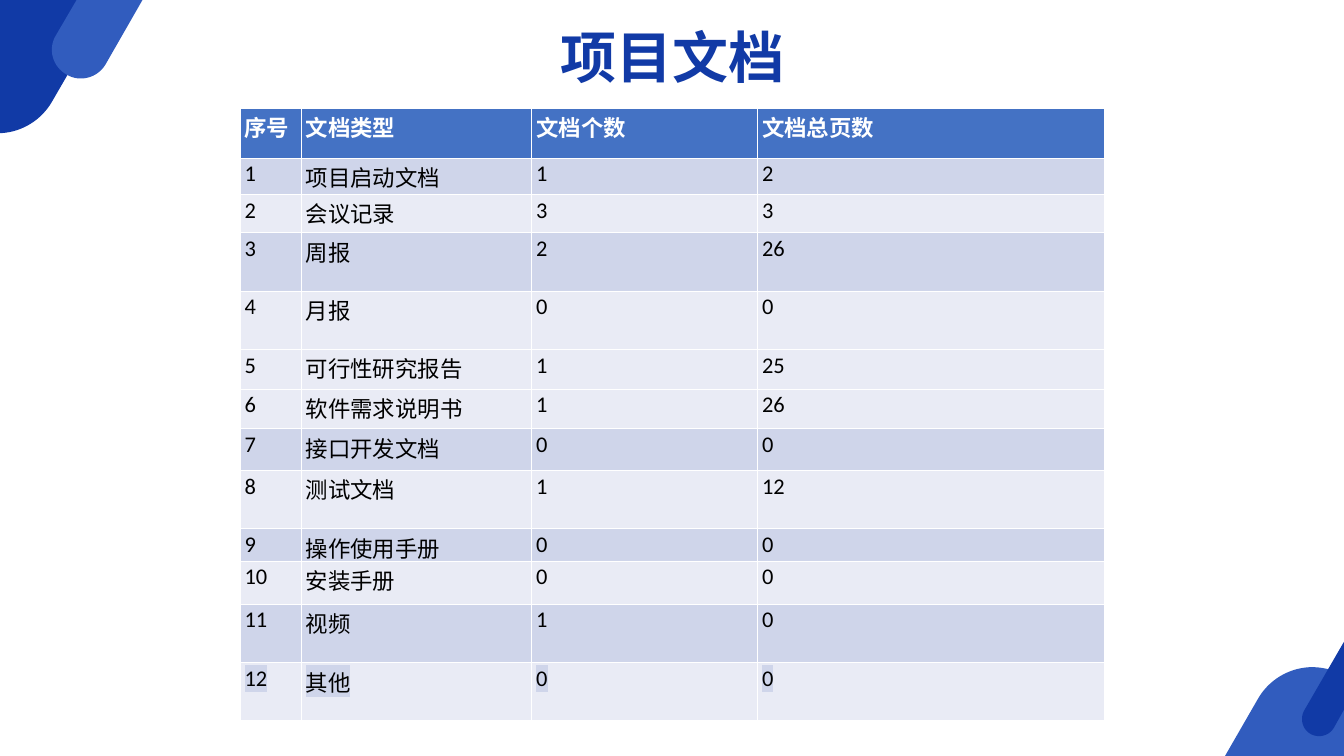
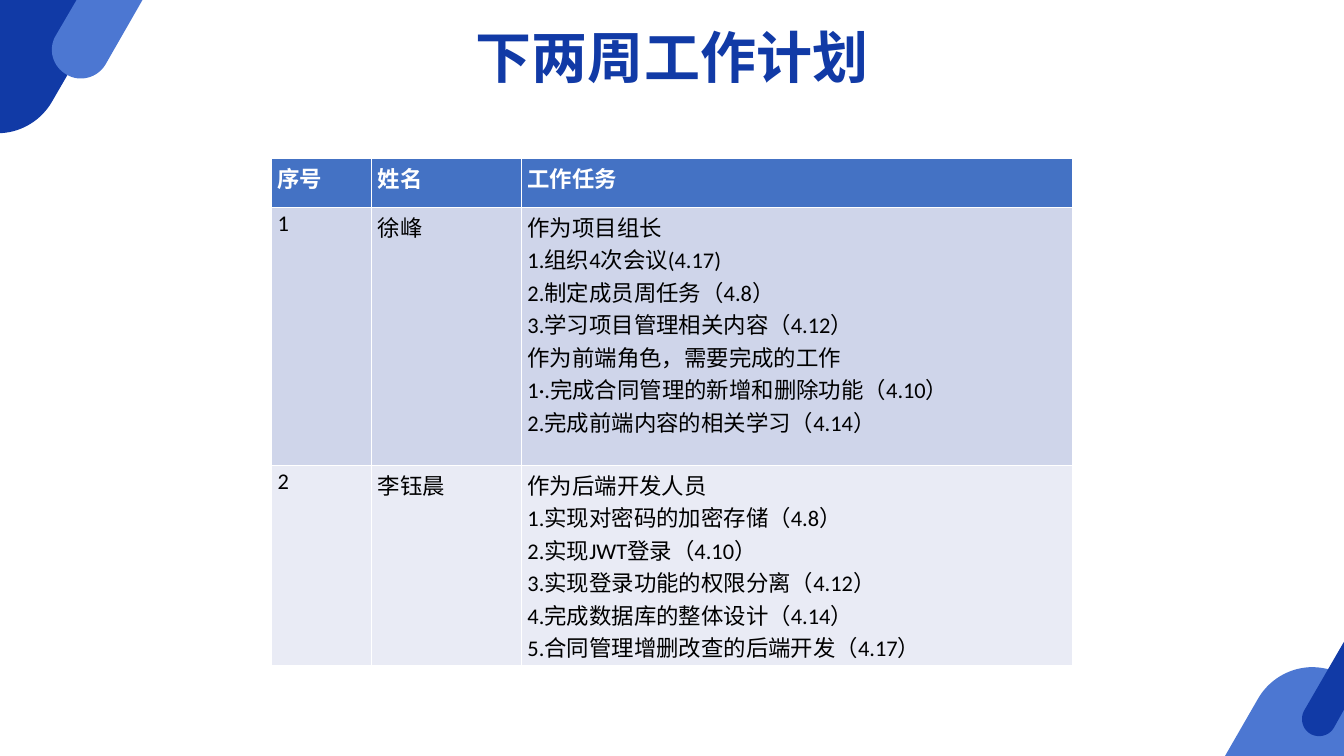
from lxml.etree import SubElement
from pptx import Presentation
from pptx.dml.color import RGBColor
from pptx.enum.text import PP_ALIGN
from pptx.oxml.ns import qn
from pptx.util import Inches, Pt

COLORS = {
    "navy": "113AA6", "royal": "315CBE", "sky": "4C77D2", "header": "4472C4",
    "dark_band": "CFD5EA", "light_band": "E9EBF5", "white": "FFFFFF", "black": "000000",
}
CJK_FONT = "Noto Sans CJK SC"
TABLE_FONT = "Calibri"
CURVE_STEPS = 16

TOP_LEFT_BACK = [(0, 0), (1.65, 0), (0.77, 1.52),
                 (0.61, 1.79, 0.33, 1.96, 0.03, 1.98), (0, 1.98)]
TOP_LEFT_FRONT = [(1.14, 0), (2.12, 0), (1.57, 0.96),
                  (1.45, 1.16, 1.19, 1.23, 0.99, 1.11),
                  (0.78, 0.99, 0.71, 0.73, 0.83, 0.53)]
BOTTOM_RIGHT_BACK = [(19.47, 9.93), (19.65, 9.92, 19.83, 9.96, 20, 10.05),
                     (20, 11.25), (18.23, 11.25), (18.72, 10.4),
                     (18.88, 10.12, 19.17, 9.95, 19.47, 9.93)]
BOTTOM_RIGHT_FRONT = [(20, 9.55), (20, 10.56), (19.85, 10.83),
                      (19.78, 10.95, 19.62, 10.99, 19.5, 10.92),
                      (19.38, 10.85, 19.34, 10.69, 19.41, 10.57)]

DOCUMENTS = [
    ("项目启动文档", 1, 2), ("会议记录", 3, 3), ("周报", 2, 26), ("月报", 0, 0),
    ("可行性研究报告", 1, 25), ("软件需求说明书", 1, 26), ("接口开发文档", 0, 0),
    ("测试文档", 1, 12), ("操作使用手册", 0, 0), ("安装手册", 0, 0),
    ("视频", 1, 0), ("其他", 0, 0),
]
DOCUMENT_HEIGHTS = [0.74, 0.54, 0.57, 0.87, 0.87, 0.59, 0.59,
                    0.62, 0.87, 0.47, 0.64, 0.87, 0.87]

LEADER_TASKS = """作为项目组长
1.组织4次会议(4.17)
2.制定成员周任务（4.8）
3.学习项目管理相关内容（4.12）
作为前端角色，需要完成的工作
1·.完成合同管理的新增和删除功能（4.10）
2.完成前端内容的相关学习（4.14）"""
BACKEND_TASKS = """作为后端开发人员
1.实现对密码的加密存储（4.8）
2.实现JWT登录（4.10）
3.实现登录功能的权限分离（4.12）
4.完成数据库的整体设计（4.14）
5.合同管理增删改查的后端开发（4.17）"""


def flatten(outline):
    points = [outline[0]]
    for step in outline[1:]:
        if len(step) == 2:
            points.append(step)
            continue
        (x0, y0), (x1, y1, x2, y2, x3, y3) = points[-1], step
        for i in range(1, CURVE_STEPS + 1):
            t = i / CURVE_STEPS
            a, b, c, d = (1 - t) ** 3, 3 * t * (1 - t) ** 2, 3 * t * t * (1 - t), t ** 3
            points.append((a * x0 + b * x1 + c * x2 + d * x3,
                           a * y0 + b * y1 + c * y2 + d * y3))
    return [(Inches(x), Inches(y)) for x, y in points]


class Deck:
    def __init__(self):
        self.presentation = Presentation()
        self.presentation.slide_width = Inches(20)
        self.presentation.slide_height = Inches(11.25)
        self.slide = None

    def color(self, name):
        return RGBColor.from_string(COLORS[name])

    def add_slide(self, title, title_width, accent):
        self.slide = self.presentation.slides.add_slide(self.presentation.slide_layouts[6])
        self.ornament(TOP_LEFT_BACK, "navy")
        self.ornament(TOP_LEFT_FRONT, accent)
        self.ornament(BOTTOM_RIGHT_BACK, accent)
        self.ornament(BOTTOM_RIGHT_FRONT, "navy")
        self.title(title, title_width)

    def ornament(self, outline, color):
        start, *rest = flatten(outline)
        builder = self.slide.shapes.build_freeform(*start)
        builder.add_line_segments(rest, close=True)
        shape = builder.convert_to_shape()
        shape.shadow.inherit = False
        shape.fill.solid()
        shape.fill.fore_color.rgb = self.color(color)
        shape.line.fill.background()

    def style(self, paragraph, size, latin, color, bold):
        font = paragraph.font
        font.size, font.bold, font.name = Pt(size), bold, latin
        font.color.rgb = self.color(color)
        SubElement(paragraph._p.pPr.find(qn("a:defRPr")), qn("a:ea"), typeface=CJK_FONT)

    def title(self, text, width):
        box = self.slide.shapes.add_textbox(
            Inches(10 - width / 2), Inches(0.64), Inches(width), Inches(0.71))
        frame = box.text_frame
        frame.word_wrap = True
        frame.margin_left = frame.margin_right = frame.margin_top = frame.margin_bottom = 0
        frame.text = text
        heading = frame.paragraphs[0]
        heading.alignment = PP_ALIGN.CENTER
        heading.line_spacing = Pt(50.4)
        self.style(heading, 60, CJK_FONT, "navy", True)

    def table(self, rows, left, top, widths, heights, margin, light_rows):
        table = self.slide.shapes.add_table(
            len(rows), len(widths), Inches(left), Inches(top),
            Inches(sum(widths)), Inches(sum(heights))).table
        for column, width in zip(table.columns, widths):
            column.width = Inches(width)
        for r, (row, height) in enumerate(zip(rows, heights)):
            table.rows[r].height = Inches(height)
            band = "header" if r == 0 else "light_band" if r in light_rows else "dark_band"
            for c, value in enumerate(row):
                self.cell(table.cell(r, c), str(value), band, margin, r == len(rows) - 1)
        return table

    def cell(self, cell, text, band, margin, is_last):
        cell.margin_left = cell.margin_right = Inches(margin)
        cell.margin_top = cell.margin_bottom = Inches(0.04)
        for side in ("lnL", "lnR", "lnT", "lnB"):
            width = 1.5 if is_last and side == "lnB" else 0.5
            edge = SubElement(cell._tc.get_or_add_tcPr(), qn(f"a:{side}"), w=str(Pt(width)))
            SubElement(SubElement(edge, qn("a:solidFill")), qn("a:srgbClr"), val=COLORS["white"])
        cell.fill.solid()
        cell.fill.fore_color.rgb = self.color(band)
        cell.text_frame.text = text
        is_header = band == "header"
        for paragraph in cell.text_frame.paragraphs:
            self.style(paragraph, 24, TABLE_FONT, "white" if is_header else "black", is_header)

    def highlight(self, cell, color):
        for run in cell.text_frame.paragraphs[0].runs:
            mark = SubElement(run._r.get_or_add_rPr(), qn("a:highlight"))
            SubElement(mark, qn("a:srgbClr"), val=COLORS[color])


def main():
    deck = Deck()

    deck.add_slide("项目文档", 4.42, "royal")
    document_rows = [("序号", "文档类型", "文档个数", "文档总页数")]
    document_rows += [(i, *document) for i, document in enumerate(DOCUMENTS, 1)]
    documents = deck.table(document_rows, 3.57, 1.61, [0.91, 3.43, 3.36, 5.16],
                           DOCUMENT_HEIGHTS, 0.07, {2, 4, 5, 6, 8, 10, 12})
    for cell in documents.rows[len(DOCUMENTS)].cells:
        deck.highlight(cell, "dark_band")

    deck.add_slide("下两周工作计划", 6.46, "sky")
    plan_rows = [("序号", "姓名", "工作任务"),
                 (1, "徐峰", LEADER_TASKS), (2, "李钰晨", BACKEND_TASKS)]
    deck.table(plan_rows, 4.04, 2.36, [1.49, 2.23, 8.2], [0.73, 3.84, 2.98], 0.09, {2})

    deck.presentation.save("out.pptx")


if __name__ == "__main__":
    main()
